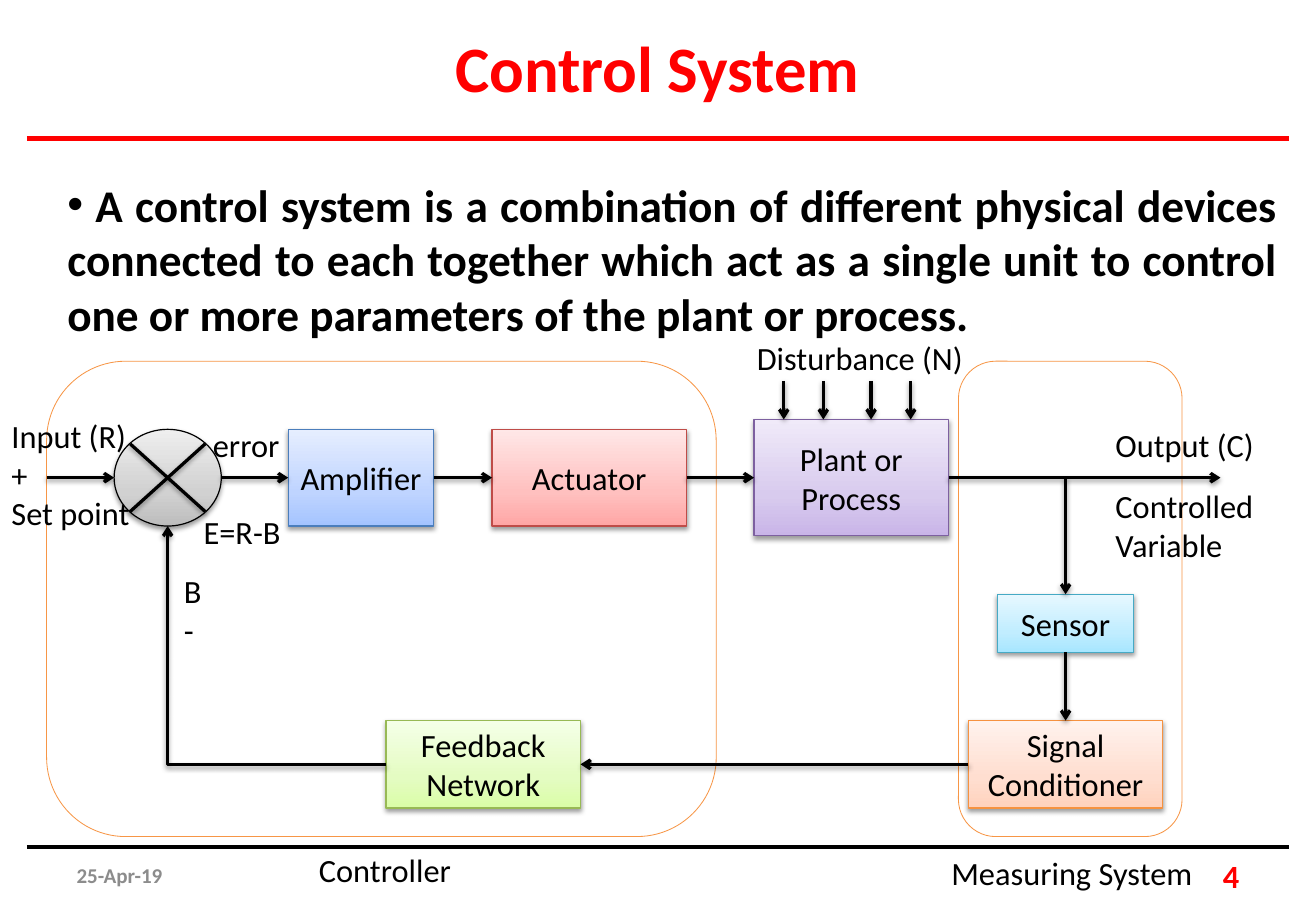
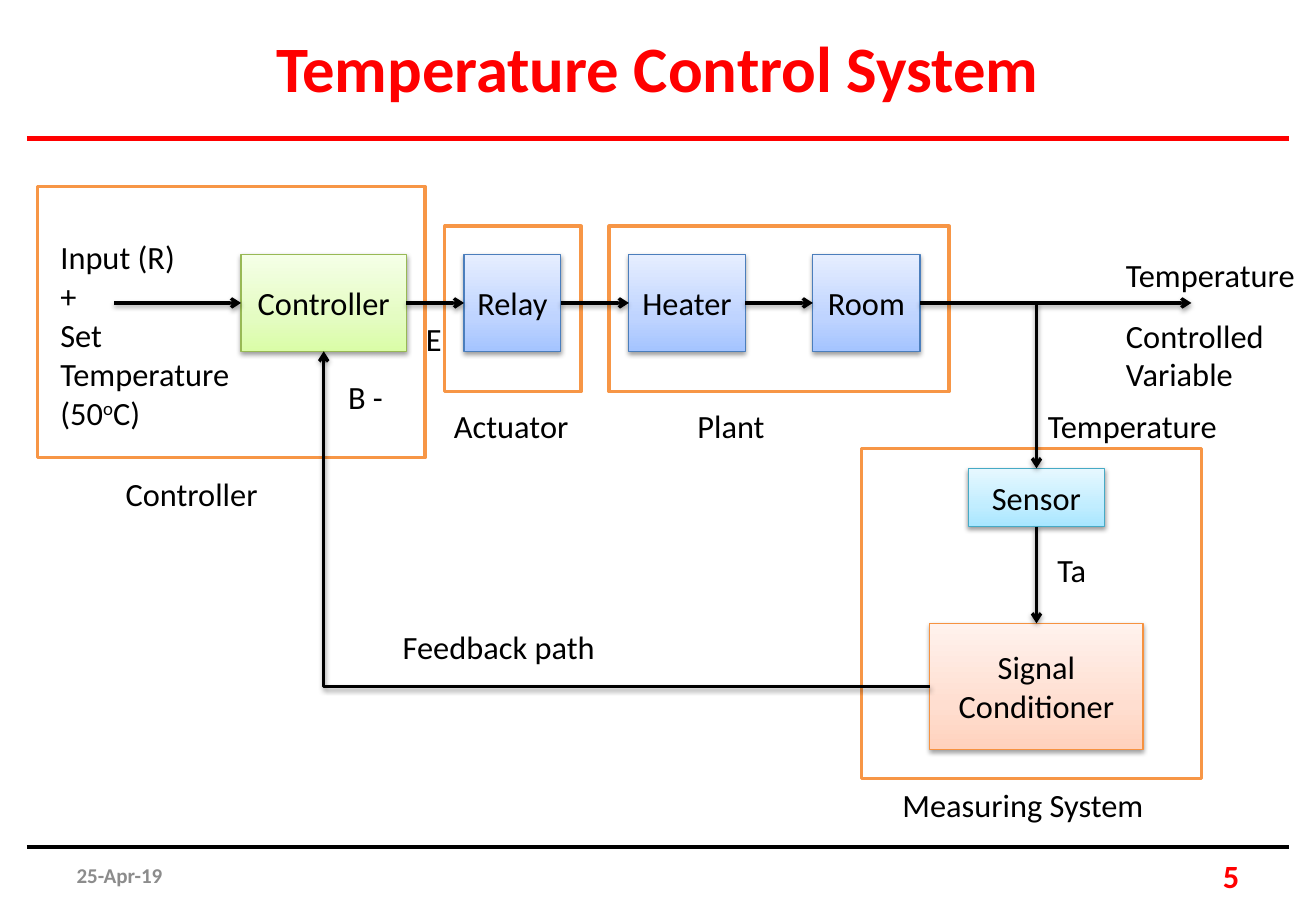
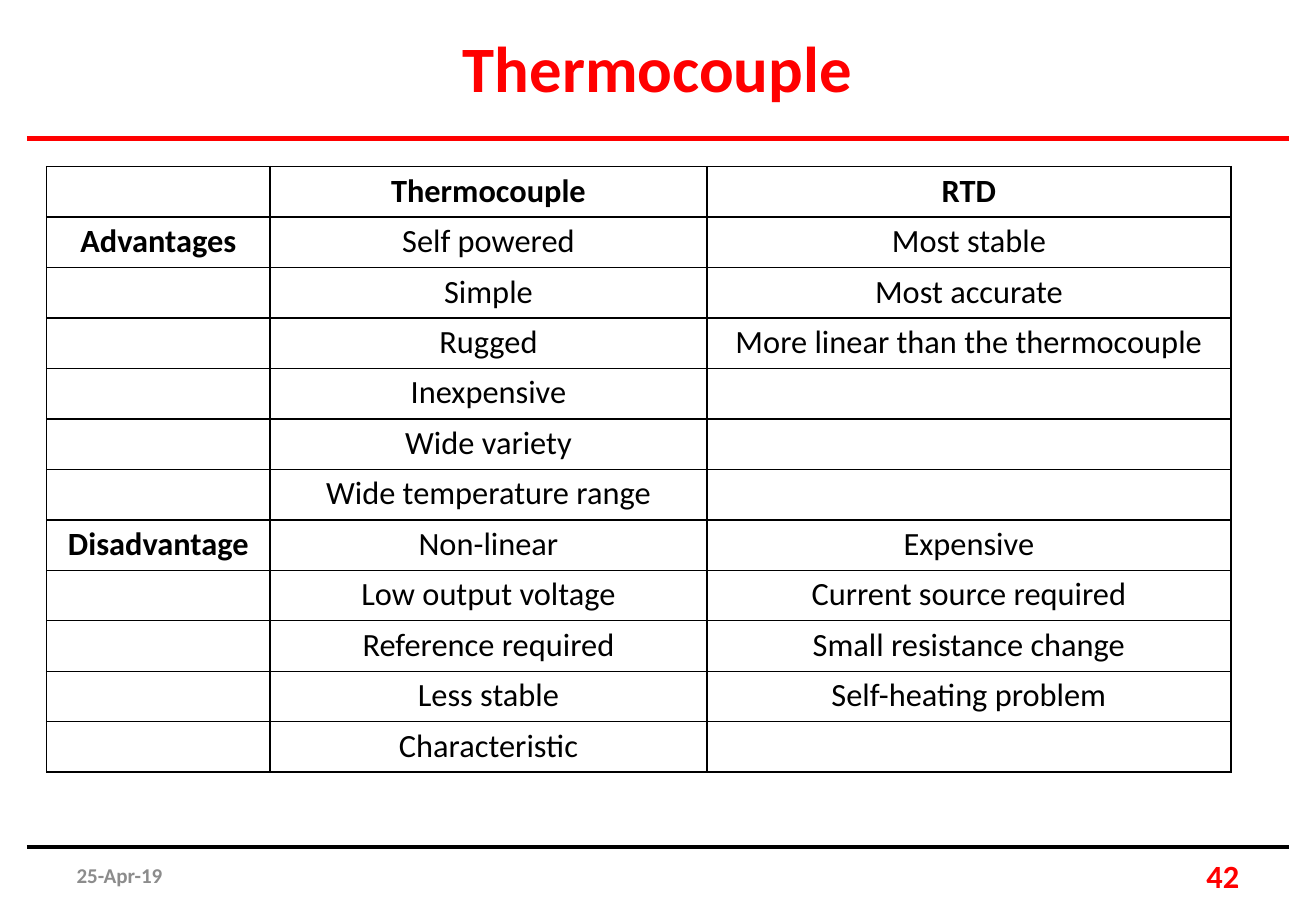
from dataclasses import dataclass
from copy import deepcopy

from lxml.etree import SubElement
from pptx import Presentation
from pptx.dml.color import RGBColor
from pptx.enum.shapes import MSO_CONNECTOR, MSO_SHAPE
from pptx.enum.text import MSO_ANCHOR, PP_ALIGN
from pptx.oxml.ns import qn
from pptx.util import Inches, Pt


@dataclass(frozen=True)
class Theme:
    font: str = "Calibri"
    ink: str = "000000"
    paper: str = "FFFFFF"
    accent: str = "FF0000"
    muted: str = "8C8C8C"
    frame: str = "F79646"
    title_size: int = 40
    statement_size: int = 28
    text_size: int = 20
    date_size: int = 13
    rule_width: float = 3
    arrow_width: float = 2
    block_line: float = 0.75
    line_height: float = 0.34
    inset: float = 0.1


THEME = Theme()

# Block tones: gradient from bottom to top, then outline
TONES = {
    "blue": (("A4C4FF", "BFD4FF", "E6EEFF"), "4B7EBC"),
    "red": (("FFA6A5", "FFC0BF", "FFE7E7"), "BF4C48"),
    "purple": (("C9B5E8", "D8CBEE", "F0EAF9"), "7D60A0"),
    "aqua": (("A7E6FF", "C1EDFF", "E7F8FF"), "46AAC5"),
    "orange": (("FFD2BD", "FFDED0", "FFF2ED"), "F69240"),
    "green": (("DAFDA7", "E4FCC2", "F5FFE7"), "98B955"),
    "gray": (("BDBDBD", "D1D1D1", "EEEEEE"), "000000"),
}
GRADIENT_POSITIONS = (0, 0.35, 1)
TOP, LEFT, BOTTOM, RIGHT = range(4)
JUNCTION = "Summing junction"

DATE = "25-Apr-19"
DEFINITION = (
    " A control system is a combination of different physical devices connected "
    "to each together which act as a single unit to control one or more "
    "parameters of the plant or process."
)

# Frames: left, top, width, height
# Blocks: tone, centre x, centre y, width, height
# Arrows: each end is (block, side) or a point (x, y)
# Labels: left, top, width, lines shown, paragraphs
CONTROL_LOOP = {
    "frame_shape": MSO_SHAPE.ROUNDED_RECTANGLE,
    "frame_width": 0.5,
    "frames": [(8.23, 3.1, 1.92, 4.08), (0.4, 3.1, 5.75, 4.08)],
    "blocks": {
        "Amplifier": ("blue", 3.1, 4.1, 1.25, 0.83),
        "Actuator": ("red", 5.06, 4.1, 1.67, 0.83),
        "Plant or Process": ("purple", 7.31, 4.1, 1.67, 1),
        "Sensor": ("aqua", 9.15, 5.35, 1.17, 0.5),
        "Signal Conditioner": ("orange", 9.15, 6.56, 1.67, 0.75),
        "Feedback Network": ("green", 4.15, 6.56, 1.67, 0.75),
        JUNCTION: ("gray", 1.44, 4.1, 0.92, 0.83),
    },
    "arrows": [
        ((0.4, 4.1), (JUNCTION, LEFT)),
        ((JUNCTION, RIGHT), ("Amplifier", LEFT)),
        (("Amplifier", RIGHT), ("Actuator", LEFT)),
        (("Actuator", RIGHT), ("Plant or Process", LEFT)),
        (("Plant or Process", RIGHT), (10.48, 4.1)),
        ((9.15, 4.1), ("Sensor", TOP)),
        (("Sensor", BOTTOM), ("Signal Conditioner", TOP)),
        (("Signal Conditioner", LEFT), ("Feedback Network", RIGHT)),
    ] + [((x, 3.27), (x, 3.6)) for x in (6.73, 7.07, 7.48, 7.82)],
    "feedback": (("Feedback Network", LEFT), (JUNCTION, BOTTOM)),
    "labels": [
        (0, 3.52, 1.3, 3, ["Input (R)", "+", "Set point"]),
        (1.48, 4.85, 0.4, 2, ["B", "-"]),
        (1.73, 3.6, 1.03, 1, ["error"]),
        (1.65, 4.35, 1, 1, ["E=R-B"]),
        (6.4, 2.85, 2.1, 1, ["Disturbance (N)"]),
        (9.48, 3.6, 1.8, 1, ["Output (C)"]),
        (9.48, 4.12, 1.8, 2, ["Controlled", "Variable"]),
        (2.64, 7.25, 1.5, 1, ["Controller"]),
        (8.07, 7.27, 2.42, 1, ["Measuring System"]),
    ],
}

TEMPERATURE_LOOP = {
    "frame_shape": MSO_SHAPE.RECTANGLE,
    "frame_width": 2,
    "frames": [
        (7.4, 3.85, 2.92, 2.83),
        (5.23, 1.94, 2.92, 1.42),
        (3.82, 1.94, 1.17, 1.42),
        (0.32, 1.6, 3.33, 2.33),
    ],
    "blocks": {
        "Sensor": ("aqua", 8.9, 4.27, 1.17, 0.5),
        "Signal Conditioner": ("orange", 8.9, 5.89, 1.83, 1.08),
        "Controller": ("green", 2.78, 2.6, 1.42, 0.83),
        "Relay": ("blue", 4.4, 2.6, 0.83, 0.83),
        "Heater": ("blue", 5.9, 2.6, 1, 0.83),
        "Room": ("blue", 7.44, 2.6, 0.92, 0.83),
    },
    "arrows": [
        ((0.98, 2.6), ("Controller", LEFT)),
        (("Controller", RIGHT), ("Relay", LEFT)),
        (("Relay", RIGHT), ("Heater", LEFT)),
        (("Heater", RIGHT), ("Room", LEFT)),
        (("Room", RIGHT), (10.23, 2.6)),
        ((8.9, 2.6), ("Sensor", TOP)),
        (("Sensor", BOTTOM), ("Signal Conditioner", TOP)),
    ],
    "feedback": (("Signal Conditioner", LEFT), ("Controller", BOTTOM)),
    "labels": [
        (0.42, 1.99, 1.75, 5,
         ["Input (R)", "+", ("Set Temperature (50", "o", "C)")]),
        (3.36, 5.33, 2, 1, ["Feedback path"]),
        (3.56, 2.69, 0.4, 1, ["E"]),
        (9.57, 2.14, 1.73, 1, ["Temperature"]),
        (9.57, 2.66, 1.73, 2, ["Controlled", "Variable"]),
        (0.98, 4.02, 1.5, 1, ["Controller"]),
        (7.65, 6.69, 2.42, 1, ["Measuring System"]),
        (2.89, 3.19, 0.75, 1, ["B -"]),
        (8.98, 4.67, 0.75, 1, ["Ta"]),
        (3.8, 3.44, 1.3, 1, ["Actuator"]),
        (5.89, 3.44, 0.9, 1, ["Plant"]),
        (8.9, 3.44, 1.8, 1, ["Temperature"]),
    ],
}

COMPARISON_COLUMNS = (1.92, 3.75, 4.5)
COMPARISON = [
    ("", "Thermocouple", "RTD"),
    ("Advantages", "Self powered", "Most stable"),
    ("", "Simple", "Most accurate"),
    ("", "Rugged", "More linear than the thermocouple"),
    ("", "Inexpensive", ""),
    ("", "Wide variety", ""),
    ("", "Wide temperature range", ""),
    ("Disadvantage", "Non-linear", "Expensive"),
    ("", "Low output voltage", "Current source required"),
    ("", "Reference required", "Small resistance change"),
    ("", "Less stable", "Self-heating problem"),
    ("", "Characteristic", ""),
]


def rgb(value):
    return RGBColor.from_string(value)


def add_run(paragraph, words, size=THEME.text_size, color=THEME.ink, bold=False):
    run = paragraph.add_run()
    run.text = words
    run.font.name = THEME.font
    run.font.size = Pt(size)
    run.font.bold = bold
    run.font.color.rgb = rgb(color)
    return run


def add_text(slide, box, words="", align=PP_ALIGN.LEFT, anchor=MSO_ANCHOR.TOP, **style):
    """Add a wrapping text box; return its text frame."""
    frame = slide.shapes.add_textbox(*map(Inches, box)).text_frame
    frame.word_wrap = True
    frame.vertical_anchor = anchor
    frame.margin_left = frame.margin_right = Inches(THEME.inset)
    frame.paragraphs[0].alignment = align
    if words:
        add_run(frame.paragraphs[0], words, **style)
    return frame


def cast_shadow(part):
    properties = part._element.spPr
    effects = properties.find(qn("a:effectLst"))
    if effects is None:
        effects = SubElement(properties, qn("a:effectLst"))
    shadow = SubElement(effects, qn("a:outerShdw"), blurRad=str(Pt(3.1)),
                        dist=str(Pt(1.6)), dir="5400000", rotWithShape="0")
    color = SubElement(shadow, qn("a:srgbClr"), val=THEME.ink)
    SubElement(color, qn("a:alpha"), val="38000")


def add_line(slide, start, end, color=THEME.ink, width=THEME.arrow_width,
             kind=MSO_CONNECTOR.STRAIGHT):
    line = slide.shapes.add_connector(kind, *map(Inches, (*start, *end)))
    line.line.color.rgb = rgb(color)
    line.line.width = Pt(width)
    return line


def add_rule(slide, top, color):
    rule = add_line(slide, (0.23, top), (11.07, top), color, THEME.rule_width)
    SubElement(rule._element.spPr, qn("a:effectLst"))


def add_page(deck, title, number):
    """Add a blank slide with the shared title, rules and footer."""
    slide = deck.slides.add_slide(deck.slide_layouts[6])
    add_rule(slide, 1.19, THEME.accent)
    add_rule(slide, 7.27, THEME.ink)
    add_text(slide, (0.23, 0.19, 10.83, 0.77), title, PP_ALIGN.CENTER,
             size=THEME.title_size, color=THEME.accent, bold=True)
    add_text(slide, (0.56, 7.3, 2.64, 0.42), DATE, anchor=MSO_ANCHOR.MIDDLE,
             size=THEME.date_size, color=THEME.muted, bold=True)
    add_text(slide, (8.1, 7.3, 2.64, 0.42), str(number), PP_ALIGN.RIGHT,
             MSO_ANCHOR.MIDDLE, color=THEME.accent, bold=True)
    return slide


def add_frame(slide, box, kind, width):
    frame = slide.shapes.add_shape(kind, *map(Inches, box))
    frame.shadow.inherit = False
    frame.fill.solid()
    frame.fill.fore_color.rgb = rgb(THEME.paper)
    frame.line.color.rgb = rgb(THEME.frame)
    frame.line.width = Pt(width)


def fill_gradient(shape, colors):
    shape.fill.gradient()
    shape.fill.gradient_angle = 90
    stop_list = shape._element.spPr.find(qn("a:gradFill")).find(qn("a:gsLst"))
    stop_list.insert(1, deepcopy(stop_list[0]))
    for stop, color, position in zip(shape.fill.gradient_stops, colors, GRADIENT_POSITIONS):
        stop.color.rgb = rgb(color)
        stop.position = position


def add_block(slide, name, tone, center_x, center_y, width, height):
    kind = MSO_SHAPE.OVAL if name == JUNCTION else MSO_SHAPE.RECTANGLE
    box = (center_x - width / 2, center_y - height / 2, width, height)
    block = slide.shapes.add_shape(kind, *map(Inches, box))
    colors, outline = TONES[tone]
    fill_gradient(block, colors)
    block.line.color.rgb = rgb(outline)
    block.line.width = Pt(THEME.block_line)
    block.shadow.inherit = False
    cast_shadow(block)
    if name != JUNCTION:
        frame = block.text_frame
        frame.word_wrap = True
        frame.vertical_anchor = MSO_ANCHOR.MIDDLE
        frame.margin_left = frame.margin_right = Inches(THEME.inset / 2)
        frame.paragraphs[0].alignment = PP_ALIGN.CENTER
        add_run(frame.paragraphs[0], name)
    return block


def add_cross(slide, center_x, center_y, width, height):
    """Draw the two diagonals of the summing junction."""
    reach_x, reach_y = width * 0.35, height * 0.35
    for slope in (1, -1):
        diagonal = add_line(slide, (center_x - reach_x, center_y - slope * reach_y),
                            (center_x + reach_x, center_y + slope * reach_y))
        cast_shadow(diagonal)


def add_arrow(slide, blocks, start, end, kind=MSO_CONNECTOR.STRAIGHT):
    """Draw an arrow, joined to a block wherever an end names one."""
    points = [(0, 0) if isinstance(tip[0], str) else tip for tip in (start, end)]
    arrow = add_line(slide, *points, kind=kind)
    joins = ((start, arrow.begin_connect, "a:stCxn"), (end, arrow.end_connect, "a:endCxn"))
    for (name, side), connect, tag in joins:
        if isinstance(name, str):
            connect(blocks[name], side)
            if name == JUNCTION:  # an oval has eight sites, two per side
                next(arrow._element.iter(qn(tag))).set("idx", str(side * 2))
    properties = arrow._element.spPr
    if kind == MSO_CONNECTOR.ELBOW:
        properties.find(qn("a:prstGeom")).set("prst", "bentConnector2")
    SubElement(properties.find(qn("a:ln")), qn("a:tailEnd"), type="arrow")
    cast_shadow(arrow)


def add_label(slide, left, top, width, rows, paragraphs):
    height = rows * THEME.line_height + 0.1
    frame = add_text(slide, (left, top, width, height))
    for index, words in enumerate(paragraphs):
        paragraph = frame.add_paragraph() if index else frame.paragraphs[0]
        if isinstance(words, str):
            add_run(paragraph, words)
            continue
        before, raised, after = words
        add_run(paragraph, before)
        add_run(paragraph, raised)._r.get_or_add_rPr().set("baseline", "30000")
        add_run(paragraph, after)


def draw_loop(slide, loop):
    for box in loop["frames"]:
        add_frame(slide, box, loop["frame_shape"], loop["frame_width"])
    blocks = {name: add_block(slide, name, *place)
              for name, place in loop["blocks"].items()}
    if JUNCTION in blocks:
        add_cross(slide, *loop["blocks"][JUNCTION][1:])
    for start, end in loop["arrows"]:
        add_arrow(slide, blocks, start, end)
    add_arrow(slide, blocks, *loop["feedback"], kind=MSO_CONNECTOR.ELBOW)
    for label in loop["labels"]:
        add_label(slide, *label)


def add_definition(slide):
    paragraph = add_text(slide, (0.48, 1.47, 10.58, 1.51), align=PP_ALIGN.JUSTIFY).paragraphs[0]
    properties = paragraph._p.get_or_add_pPr()
    properties.set("marL", "0")
    properties.set("indent", "0")
    SubElement(properties, qn("a:buFont"), typeface="Arial")
    SubElement(properties, qn("a:buChar"), char="•")
    add_run(paragraph, DEFINITION, THEME.statement_size, bold=True)


def add_borders(cell):
    properties = cell._tc.get_or_add_tcPr()
    for side in ("lnL", "lnR", "lnT", "lnB"):
        border = SubElement(properties, qn(f"a:{side}"), w=str(Pt(1)))
        fill = SubElement(border, qn("a:solidFill"))
        SubElement(fill, qn("a:srgbClr"), val=THEME.ink)


def add_comparison(slide):
    box = (0.4, 1.43, sum(COMPARISON_COLUMNS), 5.2)
    table = slide.shapes.add_table(len(COMPARISON), len(COMPARISON_COLUMNS),
                                   *map(Inches, box)).table
    table.first_row = table.horz_banding = False
    for column, width in zip(table.columns, COMPARISON_COLUMNS):
        column.width = Inches(width)
    for row, entries in enumerate(COMPARISON):
        for column, words in enumerate(entries):
            cell = table.cell(row, column)
            cell.margin_top = cell.margin_bottom = Inches(0.04)
            add_borders(cell)
            cell.fill.solid()
            cell.fill.fore_color.rgb = rgb(THEME.paper)
            if words:
                paragraph = cell.text_frame.paragraphs[0]
                paragraph.alignment = PP_ALIGN.CENTER
                add_run(paragraph, words, bold=row == 0 or column == 0)


def main():
    deck = Presentation()
    deck.slide_width, deck.slide_height = Inches(11.3), Inches(7.87)

    control = add_page(deck, "Control System", 4)
    draw_loop(control, CONTROL_LOOP)
    add_definition(control)

    draw_loop(add_page(deck, "Temperature Control System", 5), TEMPERATURE_LOOP)
    add_comparison(add_page(deck, "Thermocouple", 42))

    deck.save("out.pptx")


if __name__ == "__main__":
    main()
